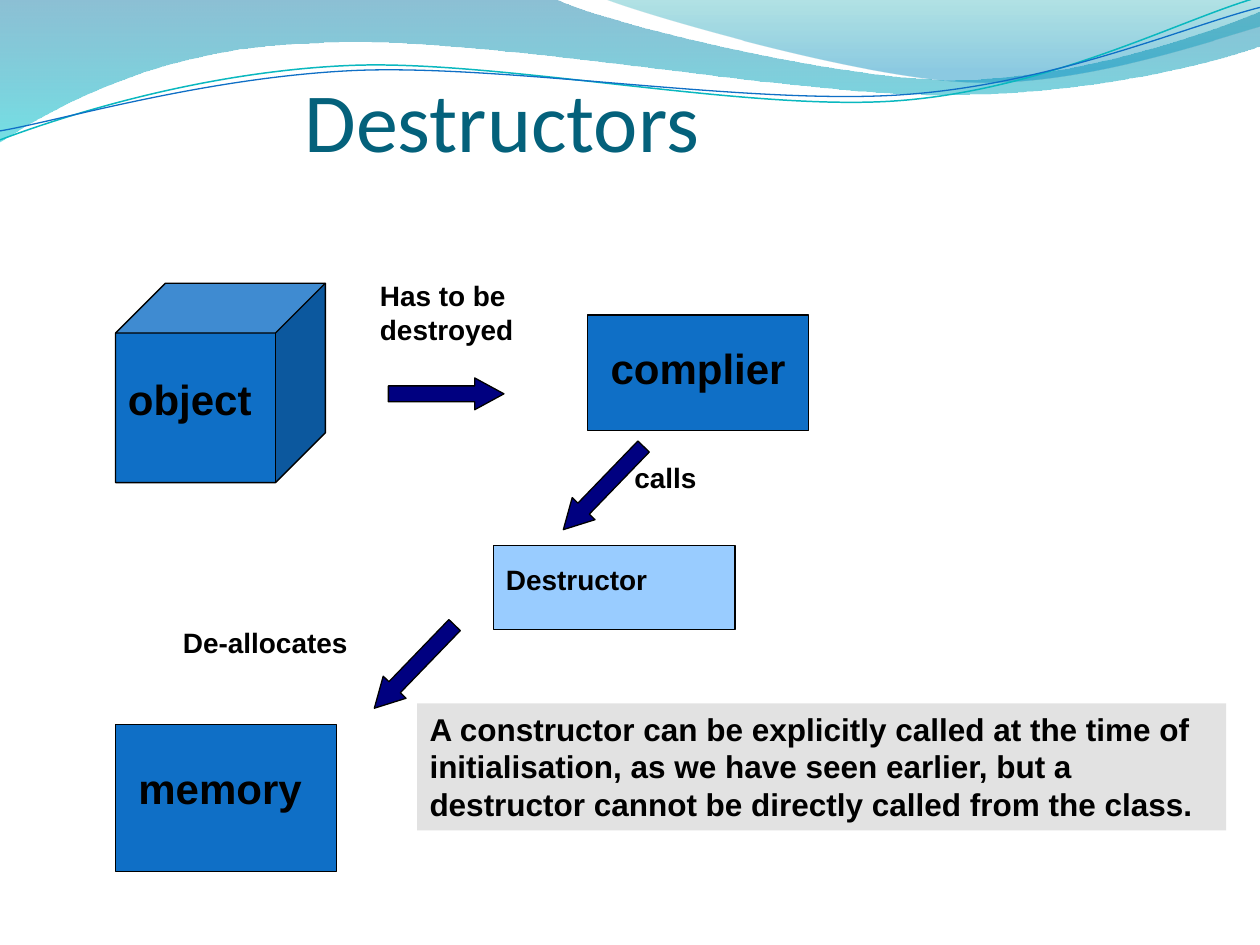
import math
from dataclasses import dataclass

import pptx
import pptx.dml.color
import pptx.enum.shapes
import pptx.enum.text
import pptx.util
from lxml import etree
from pptx.oxml.ns import qn
from pptx.util import Cm

SHAPES = pptx.enum.shapes.MSO_SHAPE
ANCHORS = pptx.enum.text.MSO_ANCHOR
ALIGNMENTS = pptx.enum.text.PP_ALIGN
GROW = pptx.enum.text.MSO_AUTO_SIZE.SHAPE_TO_FIT_TEXT
BLACK, BLUE, NAVY = "000000", "0F6FC6", "000080"


@dataclass(frozen=True)
class Curve:
    """Each segment holds one point (a line) or three (a Bézier curve), in cm."""
    start: tuple
    segments: tuple
    center: tuple = (0, 0)
    rotation: float = 0


@dataclass(frozen=True)
class Stop:
    color: str
    position: float
    opacity: int


@dataclass(frozen=True)
class Node:
    kind: int
    left: float
    top: float
    width: float
    height: float
    fill: str
    rotation: float = 0


@dataclass(frozen=True)
class Label:
    text: str
    left: float
    top: float
    width: float
    height: float
    size: int = 16
    fill: str = ""


BACK_WAVE = Curve((0, 0), (
    ((11.18, -0.03),),
    ((12.09, 0.43), (16.87, 1.6), (19.25, 1.6)),
    ((21.67, 1.6), (24.33, 0.66), (25.4, 0.23)),
    ((25.43, 0.91),),
    ((24.97, 1.12), (22.1, 1.93), (18.95, 1.91)),
    ((15.8, 1.91), (9.7, 0.71), (6.53, 0.86)),
    ((3.28, 0.91), (1.17, 2.11), (-0.03, 2.87)),
    ((0, 0),),
))
FRONT_WAVE = Curve((12.17, -0.03), (
    ((12.93, 0.28), (17.32, 1.57), (19.53, 1.65)),
    ((21.74, 1.75), (24.41, 0.81), (25.4, 0.53)),
    ((25.4, 0),),
    ((12.17, -0.03),),
))
TEAL_LINE = Curve((0, 2.82), (
    ((1.22, 2.36), (4.01, 1.45), (7.04, 1.32)),
    ((10.03, 1.19), (15.06, 2.26), (18.11, 2.03)),
    ((21.16, 1.8), (23.83, 0.38), (25.35, -0.05)),
), (12.67, 1.46), -2.7)
BLUE_LINE = Curve((0, 2.64), (
    ((1.19, 2.44), (4.17, 1.55), (7.19, 1.42)),
    ((10.24, 1.3), (15.16, 2.13), (18.21, 1.91)),
    ((21.23, 1.7), (23.9, 0.53), (25.4, 0.15)),
), (12.69, 1.5), -2.7)

ARROW_SIZE = (2.33, 0.64)
NODES = (
    Node(SHAPES.RECTANGLE, 9.95, 11.0, 4.87, 1.69, "99CCFF"),
    Node(SHAPES.CUBE, 2.33, 5.71, 4.23, 4.02, BLUE),
    Node(SHAPES.RECTANGLE, 11.85, 6.35, 4.45, 2.33, BLUE),
    Node(SHAPES.RECTANGLE, 2.33, 14.6, 4.45, 2.97, BLUE),
    Node(SHAPES.RIGHT_ARROW, 7.83, 7.62, *ARROW_SIZE, NAVY),
    Node(SHAPES.RIGHT_ARROW, 11.0, 9.52, *ARROW_SIZE, NAVY, 134),
    Node(SHAPES.RIGHT_ARROW, 7.19, 13.12, *ARROW_SIZE, NAVY, 134),
)
LABELS = (
    Label("Destructor", 9.95, 11.22, 4.45, 0.93),
    Label("object", 2.33, 7.41, 3.18, 1.27, 24),
    Label("Has to be destroyed", 7.41, 5.5, 4.45, 1.63),
    Label("complier", 12.06, 6.77, 4.65, 1.27, 24),
    Label("memory", 2.54, 15.24, 4.02, 1.27, 24),
    Label("De-allocates", 3.44, 12.49, 5.28, 0.93),
    Label("calls", 12.54, 9.15, 2.74, 0.93),
    Label("A constructor can be explicitly called at the time of initialisation, "
          "as we have seen earlier, but a destructor cannot be directly called "
          "from the class.", 8.41, 14.18, 16.31, 2.56, 18, "E2E2E2"),
)


def rgb(color: str) -> pptx.dml.color.RGBColor:
    return pptx.dml.color.RGBColor.from_string(color)


def unrotated(point: tuple, curve: Curve) -> tuple:
    """Where the point lies, in EMU, before the curve's rotation is applied."""
    angle = math.radians(-curve.rotation)
    x, y = point[0] - curve.center[0], point[1] - curve.center[1]
    return (Cm(curve.center[0] + x * math.cos(angle) - y * math.sin(angle)),
            Cm(curve.center[1] + x * math.sin(angle) + y * math.cos(angle)))


def add_curve(slide, curve: Curve, close: bool):
    """Lay out all points as lines, then merge each triple into a Bézier curve."""
    builder = slide.shapes.build_freeform(*unrotated(curve.start, curve))
    points = [unrotated(point, curve) for segment in curve.segments for point in segment]
    builder.add_line_segments(points, close=close)
    shape = builder.convert_to_shape()
    shape.shadow.inherit = False
    shape.rotation = curve.rotation
    lines = iter(shape.element.spPr.findall(".//" + qn("a:lnTo")))
    for segment in curve.segments:
        parts = [next(lines) for _ in segment]
        if len(parts) == 3:
            bezier = etree.Element(qn("a:cubicBezTo"))
            parts[0].addprevious(bezier)
            for part in parts:
                bezier.append(part[0])
                part.getparent().remove(part)
    return shape


def add_wave(slide, curve: Curve, stops: tuple) -> None:
    shape = add_curve(slide, curve, close=True)
    shape.line.fill.background()
    shape.fill.gradient()
    shape.fill.gradient_angle = 270
    for target, stop in zip(shape.fill.gradient_stops, stops):
        target.position = stop.position
        target.color.rgb = rgb(stop.color)
    colors = shape.element.spPr.findall(".//" + qn("a:gs") + "/" + qn("a:srgbClr"))
    for color, stop in zip(colors, stops):
        etree.SubElement(color, qn("a:alpha")).set("val", str(stop.opacity * 1000))


def add_wave_line(slide, curve: Curve, color: str, width: float) -> None:
    shape = add_curve(slide, curve, close=False)
    shape.fill.background()
    shape.line.color.rgb = rgb(color)
    shape.line.width = pptx.util.Pt(width)


def add_node(slide, node: Node) -> None:
    shape = slide.shapes.add_shape(node.kind, Cm(node.left), Cm(node.top),
                                   Cm(node.width), Cm(node.height))
    shape.shadow.inherit = False
    shape.rotation = node.rotation
    shape.fill.solid()
    shape.fill.fore_color.rgb = rgb(node.fill)
    shape.line.color.rgb = rgb(BLACK)
    shape.line.width = pptx.util.Pt(0.75)
    if node.kind == SHAPES.RIGHT_ARROW:
        shape.adjustments[1] = 0.92


def add_text(slide, label: Label, font: str = "Arial", color: str = BLACK,
             bold: bool = True):
    place = [Cm(length) for length in (label.left, label.top, label.width, label.height)]
    if label.fill:
        box = slide.shapes.add_shape(SHAPES.RECTANGLE, *place)
        box.shadow.inherit = False
        box.fill.solid()
        box.fill.fore_color.rgb = rgb(label.fill)
        box.line.fill.background()
    else:
        box = slide.shapes.add_textbox(*place)
    frame = box.text_frame
    frame.word_wrap = True
    frame.auto_size = GROW
    frame.vertical_anchor = ANCHORS.TOP
    frame.text = label.text
    paragraph = frame.paragraphs[0]
    paragraph.alignment = ALIGNMENTS.LEFT
    run = paragraph.runs[0]
    run.font.name = font
    run.font.size = pptx.util.Pt(label.size)
    run.font.bold = bold
    run.font.color.rgb = rgb(color)
    return box


def add_title(slide) -> None:
    title = Label("Destructors", 6.14, 1.06, 11.2, 2.36, 48)
    frame = add_text(slide, title, "Calibri", "04617B", bold=False).text_frame
    frame.auto_size = pptx.enum.text.MSO_AUTO_SIZE.NONE
    frame.vertical_anchor = ANCHORS.BOTTOM
    frame.margin_left = frame.margin_right = frame.margin_bottom = 0


def main() -> None:
    presentation = pptx.Presentation()
    presentation.slide_width, presentation.slide_height = Cm(25.4), Cm(19.05)
    slide = presentation.slides.add_slide(presentation.slide_layouts[6])
    add_wave(slide, BACK_WAVE, (Stop("0074A1", 0, 45), Stop("00C6CF", 1, 55)))
    add_wave(slide, FRONT_WAVE, (Stop("00A1A9", 0, 30), Stop("008BBF", 0.8, 45)))
    add_wave_line(slide, TEAL_LINE, "0AB8BF", 0.85)
    add_wave_line(slide, BLUE_LINE, BLUE, 0.75)
    add_title(slide)
    for item in NODES:
        add_node(slide, item)
    for item in LABELS:
        add_text(slide, item)
    presentation.save("out.pptx")


if __name__ == "__main__":
    main()
